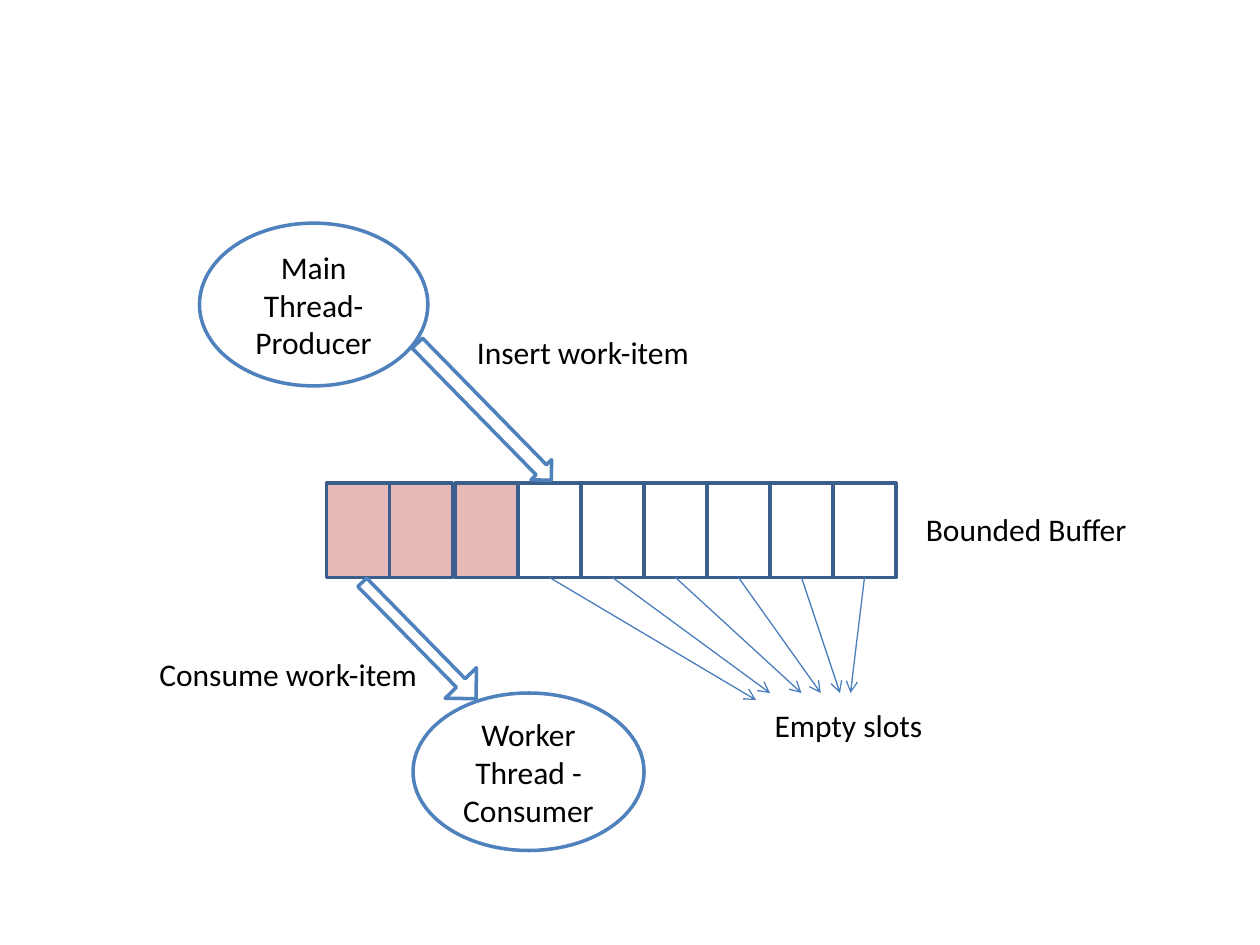
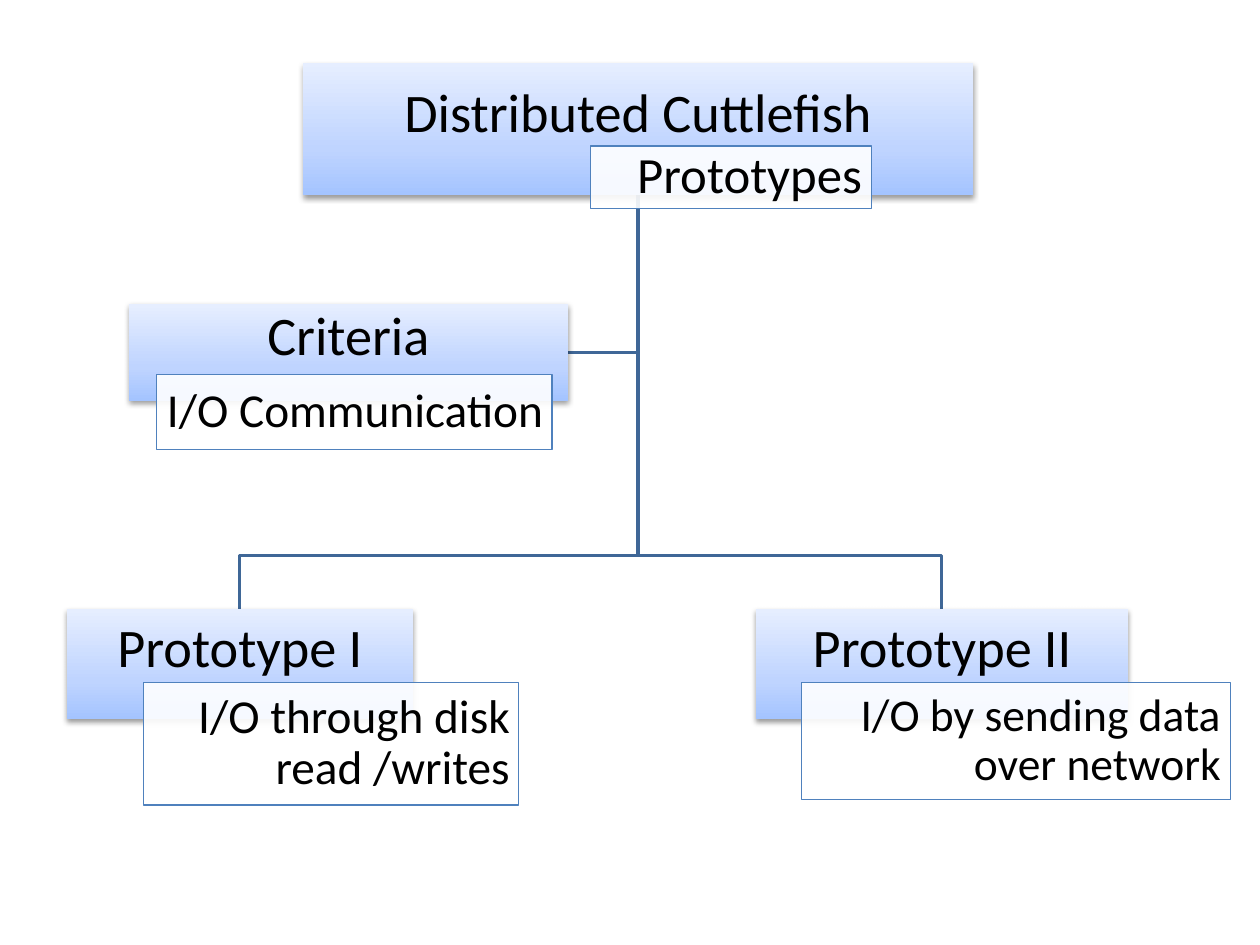
from copy import deepcopy
from lxml.etree import SubElement as Sub
from pptx import Presentation
from pptx.dml.color import RGBColor
from pptx.enum.shapes import MSO_CONNECTOR as Conn, MSO_SHAPE as Kind
from pptx.enum.text import MSO_ANCHOR as Anchor, PP_ALIGN as Align
from pptx.oxml.ns import qn
from pptx.util import Pt

BLACK = RGBColor(0x00, 0x00, 0x00)
WHITE = RGBColor(0xFF, 0xFF, 0xFF)
BLUE = RGBColor(0x4F, 0x81, 0xBD)
THIN = RGBColor(0x4B, 0x7E, 0xBC)
EDGE = RGBColor(0x3A, 0x5F, 0x8C)
TREE = RGBColor(0x3F, 0x67, 0x97)
PINK = RGBColor(0xE6, 0xB9, 0xB8)
FADE = [(0, RGBColor(0xA4, 0xC4, 0xFF)),
        (0.35, RGBColor(0xBF, 0xD4, 0xFF)),
        (1, RGBColor(0xE6, 0xEE, 0xFF))]
FONT = "Calibri"


class Deck:
    def __init__(self):
        self.prs = Presentation()
        self.prs.slide_width, self.prs.slide_height = Pt(720), Pt(540)

    def page(self):
        self.slide = self.prs.slides.add_slide(self.prs.slide_layouts[6])
        self.shapes = self.slide.shapes

    def words(self, item, text, size=18, align=Align.CENTER, pads=None, lead=None):
        frame = item.text_frame
        frame.word_wrap = True
        if pads:
            (frame.margin_left, frame.margin_top,
             frame.margin_right, frame.margin_bottom) = map(Pt, pads)
        para = frame.paragraphs[0]
        para.alignment, para.line_spacing = align, lead
        run = para.add_run()
        run.text = text
        run.font.name, run.font.size = FONT, Pt(size)
        run.font.color.rgb = BLACK

    def shape(self, kind, at, fill=WHITE, line=BLUE, width=2):
        item = self.shapes.add_shape(kind, *map(Pt, at))
        item.shadow.inherit = False
        item.text_frame.vertical_anchor = Anchor.MIDDLE
        if fill:
            item.fill.solid()
            item.fill.fore_color.rgb = fill
        if line:
            item.line.color.rgb, item.line.width = line, Pt(width)
        else:
            item.line.fill.background()
        return item

    def oval(self, at, text):
        self.words(self.shape(Kind.OVAL, at), text)

    def arrow(self, at, shaft=0.5):
        item = self.shape(Kind.RIGHT_ARROW, at)
        item.rotation = 45.6
        item.adjustments[0] = shaft

    def label(self, at, text):
        self.words(self.shapes.add_textbox(*map(Pt, at)), text, align=Align.LEFT)

    def link(self, slot, end):
        line = self.shapes.add_connector(Conn.STRAIGHT, 0, 0, *map(Pt, end))
        line.begin_connect(slot, 2)
        line.line.color.rgb, line.line.width = THIN, Pt(0.75)
        props = line._element.spPr
        Sub(props.find(qn("a:ln")), qn("a:tailEnd"), type="arrow")
        Sub(props, qn("a:effectLst"))

    def branch(self, *points):
        start, *rest = [(Pt(x), Pt(y)) for x, y in points]
        form = self.shapes.build_freeform(*start)
        form.add_line_segments(rest, close=False)
        item = form.convert_to_shape()
        item.shadow.inherit = False
        item.fill.background()
        item.line.color.rgb, item.line.width = TREE, Pt(2)

    def card(self, at, text):
        item = self.shape(Kind.RECTANGLE, at, None, None)
        # Three-stop fade, darkest at the bottom
        item.fill.gradient()
        item.fill.gradient_angle = 90
        props = item._element.spPr
        stops = props.find(".//" + qn("a:gsLst"))
        stops.insert(1, deepcopy(stops[0]))
        for stop, (place, color) in zip(item.fill.gradient_stops, FADE):
            stop.position, stop.color.rgb = place, color
        # Soft shadow below
        glow = Sub(props.find(qn("a:effectLst")), qn("a:outerShdw"),
                   blurRad=str(Pt(3.1)), dist=str(Pt(1.6)), dir="5400000",
                   rotWithShape="0")
        tint = Sub(glow, qn("a:srgbClr"), val=str(BLACK))
        Sub(tint, qn("a:alpha"), val="38000")
        self.words(item, text, 31, pads=(1.5, 1.5, 1.5, 18), lead=0.9)

    def note(self, at, text, size):
        item = self.shape(Kind.RECTANGLE, at, width=0.75)
        tint = item._element.spPr.find(qn("a:solidFill"))[0]
        Sub(tint, qn("a:alpha"), val="90000")
        self.words(item, text, size, Align.RIGHT, (5.2, 1.5, 5.2, 1.5), 0.9)


def buffer(deck):
    deck.page()
    deck.oval((114, 127.5, 130.5, 93), "Main Thread-Producer")

    # Buffer slots: three full, the rest empty
    full, slots = 3, []
    for i in range(9):
        left = 186.5 + 36 * i + (1.5 if i > 1 else 0)
        fill = PINK if i < full else WHITE
        slots.append(deck.shape(Kind.RECTANGLE, (left, 276, 36, 54), fill, EDGE))

    # Consumer and flow arrows
    deck.oval((236, 396, 132, 90), "Worker Thread - Consumer")
    deck.arrow((222, 227, 109.5, 16.5))
    deck.arrow((193, 353.5, 93, 25), 0.28)

    # Labels
    deck.label((265.5, 187, 180, 29), "Insert work-item")
    deck.label((84, 371, 180, 29), "Consume work-item")
    deck.label((522, 288, 150, 29), "Bounded Buffer")
    deck.label((435.5, 400, 101.5, 29), "Empty slots")

    # Pointers from the empty slots
    ends = [(432, 400), (440, 396), (458, 396), (469, 396), (480, 396), (486, 396)]
    for slot, end in zip(slots[full:], ends):
        deck.link(slot, end)


def tree(deck):
    deck.page()
    # Branches from the root
    trunk, base, fork, top = 364.5, 111.5, 317.5, 348
    deck.branch((trunk, base), (trunk, 201.5), (324.5, 201.5))
    for x in (538, 137):
        deck.branch((trunk, base), (trunk, fork), (x, fork), (x, top))

    # Cards, each with its note
    nodes = [
        ("Distributed Cuttlefish", (173, 36, 383, 75.5),
         "Prototypes", (337.5, 83.5, 160.5, 35.5), 29),
        ("Prototype I", (38, top, 198, 63),
         "I/O through disk read /writes", (82, 390, 214.5, 70), 27),
        ("Prototype II", (432, top, 212.5, 63),
         "I/O by sending data over network", (458, 390, 245, 67), 26),
        ("Criteria", (73.5, 174, 251, 55),
         "I/O Communication", (89.5, 214, 226, 43), 27),
    ]
    for head, spot, text, at, size in nodes:
        deck.card(spot, head)
        deck.note(at, text, size)


def main():
    deck = Deck()
    buffer(deck)
    tree(deck)
    deck.prs.save("out.pptx")


if __name__ == "__main__":
    main()
